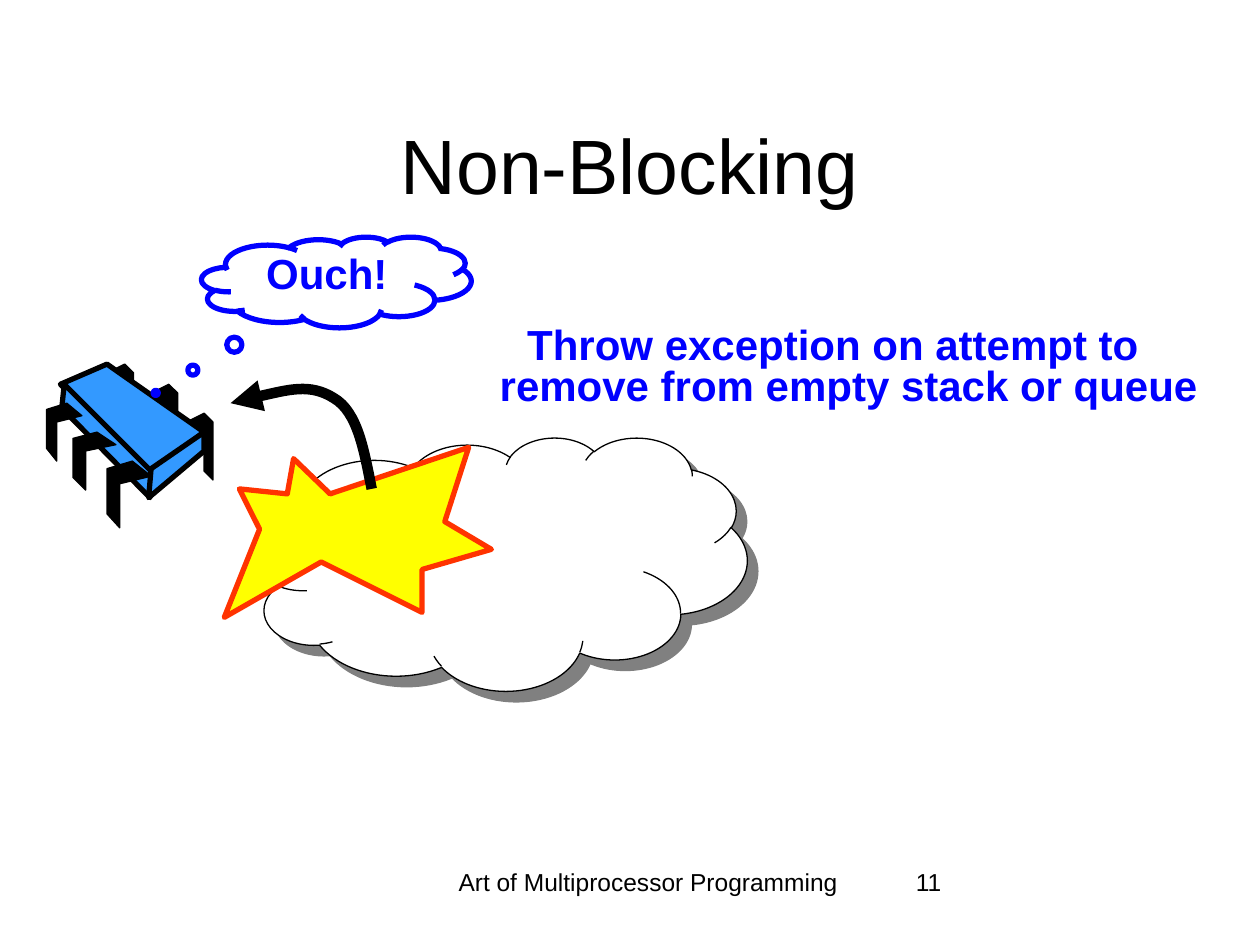
"""Builds the Non-Blocking slide: a chip thrown an exception by an empty pool."""
import pptx
import pptx.dml.color
import pptx.enum.shapes
import pptx.enum.text
import pptx.oxml
import pptx.oxml.ns
import pptx.util

Inches = pptx.util.Inches
Pt = pptx.util.Pt
RGBColor = pptx.dml.color.RGBColor
MSO_SHAPE = pptx.enum.shapes.MSO_SHAPE
ALIGN = pptx.enum.text.PP_ALIGN
ANCHOR = pptx.enum.text.MSO_ANCHOR
qn = pptx.oxml.ns.qn

BLACK = RGBColor(0x00, 0x00, 0x00)
WHITE = RGBColor(0xFF, 0xFF, 0xFF)
BLUE = RGBColor(0x00, 0x00, 0xFF)
CHIP_BLUE = RGBColor(0x33, 0x99, 0xFF)
YELLOW = RGBColor(0xFF, 0xFF, 0x00)
ORANGE = RGBColor(0xFF, 0x33, 0x00)

PLAIN = {"name": "Arial", "size": Pt(14), "bold": False}
HEADING = {**PLAIN, "size": Pt(44)}
REMARK = {**PLAIN, "size": Pt(24), "bold": True}

LABELS = [
    ("Art of Multiprocessor Programming", (3.42, 6.83, 3.45, 0.5), PLAIN, ALIGN.CENTER, ANCHOR.TOP),
    ("11", (7.17, 6.83, 2.08, 0.5), PLAIN, ALIGN.LEFT, ANCHOR.TOP),
    ("Non-Blocking", (0.75, 0.67, 8.5, 1.25), HEADING, ALIGN.CENTER, ANCHOR.MIDDLE),
]
THOUGHT = "Ouch!"
EXPLANATION = "Throw exception on attempt to remove from empty stack or queue"

REAR_LEGS = [
    [(1.48, 3.35), (1.62, 3.28), (1.69, 3.35), (1.69, 3.81), (1.62, 3.74), (1.62, 3.43), (1.48, 3.51)],
    [(1.2, 3.12), (1.34, 3.05), (1.41, 3.12), (1.41, 3.58), (1.34, 3.51), (1.34, 3.2), (1.2, 3.28)],
    [(0.85, 2.96), (0.99, 2.89), (1.06, 2.96), (1.06, 3.35), (0.99, 3.29), (0.99, 3.03), (0.85, 3.09)],
]
BODY_FACES = [
    [(0.85, 2.89), (1.62, 3.43), (1.19, 3.75), (0.48, 3.05)],
    [(0.51, 3.05), (1.2, 3.74), (1.19, 3.95), (0.49, 3.24)],
    [(1.62, 3.43), (1.62, 3.58), (1.18, 3.95), (1.2, 3.72)],
]
FRONT_LEGS = [
    [(1.05, 3.66), (1.2, 3.78), (0.95, 3.84), (0.95, 4.19), (0.85, 4.08), (0.85, 3.72)],
    [(0.77, 3.43), (0.92, 3.53), (0.68, 3.58), (0.68, 3.89), (0.58, 3.79), (0.58, 3.48)],
    [(0.53, 3.2), (0.65, 3.3), (0.45, 3.35), (0.45, 3.66), (0.37, 3.56), (0.37, 3.25)],
]
CHIP = [
    (REAR_LEGS, BLACK, BLACK, 0.75),
    (BODY_FACES, CHIP_BLUE, BLACK, 3),
    (FRONT_LEGS, BLACK, BLACK, 0.75),
]
BURST = [(2.62, 3.92), (2.33, 3.64), (2.28, 3.92), (1.9, 3.88), (2.06, 4.2), (1.78, 4.9),
         (2.55, 4.46), (3.35, 4.86), (3.35, 4.52), (3.9, 4.36), (3.53, 4.14), (3.72, 3.55)]
THROW_CURVE = [(1.83, 3.2), (2.15, 3.12), (2.46, 3.04), (2.65, 3.16),
               (2.84, 3.27), (2.89, 3.58), (2.95, 3.88)]


def write(shape, text, font_format, color, align, anchor=ANCHOR.TOP):
    frame = shape.text_frame
    frame.word_wrap = True
    frame.vertical_anchor = anchor
    paragraph = frame.paragraphs[0]
    paragraph.alignment = align
    run = paragraph.add_run()
    run.text = text
    for attribute, value in font_format.items():
        setattr(run.font, attribute, value)
    run.font.color.rgb = color
    return paragraph


def write_remark(shape, text):
    paragraph = write(shape, text, REMARK, BLUE, ALIGN.CENTER)
    paragraph.line_spacing = 0.8
    properties = paragraph._p.get_or_add_pPr()
    properties.set("marL", str(Inches(0.25)))
    properties.set("indent", str(Inches(-0.25)))


def paint(shape, fill, line, width):
    shape.shadow.inherit = False
    if fill is None:
        shape.fill.background()
    else:
        shape.fill.solid()
        shape.fill.fore_color.rgb = fill
    shape.line.color.rgb = line
    shape.line.width = Pt(width)
    return shape


def outline(shapes, points, fill, line, width, close=True):
    start, *rest = [(Inches(x), Inches(y)) for x, y in points]
    builder = shapes.build_freeform(*start, scale=1.0)
    builder.add_line_segments(rest, close=close)
    shape = paint(builder.convert_to_shape(), fill, line, width)
    pptx.oxml.ns.qn("a:round")
    shape.line._get_or_add_ln().append(element("a:round"))
    return shape


def element(tag, parent=None, **attributes):
    node = pptx.oxml.parse_xml(f"<{tag} {pptx.oxml.ns.nsdecls('a')}/>")
    for key, value in attributes.items():
        node.set(key, str(value))
    if parent is not None:
        parent.append(node)
    return node


def bend(shape):
    segments = list(shape._element.iter(qn("a:lnTo")))
    for first in range(0, len(segments), 3):
        curve = element("a:cubicBezTo")
        segments[first].addprevious(curve)
        for segment in segments[first:first + 3]:
            curve.append(segment[0])
            segment.getparent().remove(segment)


def cast_shadow(shape):
    effects = shape._element.spPr.find(qn("a:effectLst"))
    shadow = element("a:outerShdw", effects, blurRad=0, dist=Pt(8.5), dir=45 * 60000,
                     algn="ctr", rotWithShape=0)
    element("a:srgbClr", shadow, val="808080")


def main():
    deck = pptx.Presentation()
    deck.slide_width, deck.slide_height = Inches(10), Inches(7.5)
    shapes = deck.slides.add_slide(deck.slide_layouts[6]).shapes

    for text, place, font_format, align, anchor in LABELS:
        label = shapes.add_textbox(*map(Inches, place))
        write(label, text, font_format, BLACK, align, anchor)

    pool = shapes.add_shape(MSO_SHAPE.CLOUD, *map(Inches, (2.01, 3.47, 3.92, 2.01)))
    cast_shadow(paint(pool, WHITE, BLACK, 0.75))

    chip = shapes.add_group_shape()
    for outlines, fill, line, width in CHIP:
        for points in outlines:
            outline(chip.shapes, points, fill, line, width)

    thought = shapes.add_shape(MSO_SHAPE.CLOUD_CALLOUT, *map(Inches, (1.6, 1.88, 2.14, 0.72)))
    thought.adjustments[0], thought.adjustments[1] = -0.67, 1.22
    write_remark(paint(thought, WHITE, BLUE, 3), THOUGHT)

    explanation = shapes.add_textbox(*map(Inches, (3.47, 2.56, 6.28, 0.75)))
    write_remark(explanation, EXPLANATION)

    outline(shapes, BURST, YELLOW, ORANGE, 3)
    throw = outline(shapes, THROW_CURVE, None, BLACK, 6, close=False)
    bend(throw)
    element("a:headEnd", throw.line._get_or_add_ln(), type="triangle")

    deck.save("out.pptx")


if __name__ == "__main__":
    main()
